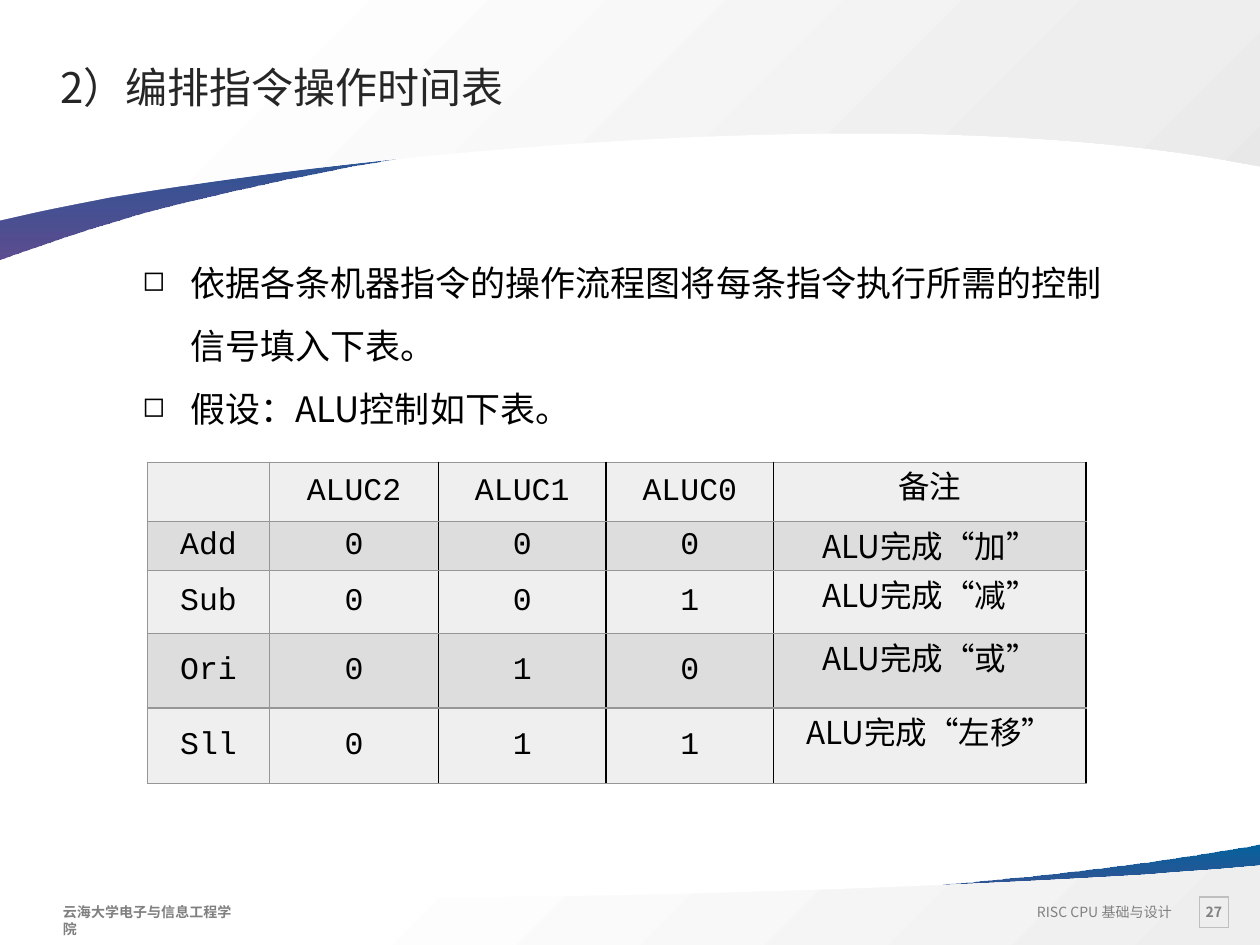
import pptx
import pptx.dml.color
import pptx.enum.shapes
import pptx.enum.text
import pptx.oxml
import pptx.oxml.ns
import pptx.util
from pptx.util import Inches

SANS, MONO = "Noto Sans CJK SC", "Courier New"
LEFT, CENTER, RIGHT = (getattr(pptx.enum.text.PP_ALIGN, n) for n in ("LEFT", "CENTER", "RIGHT"))
TOP, MIDDLE = pptx.enum.text.MSO_ANCHOR.TOP, pptx.enum.text.MSO_ANCHOR.MIDDLE
NS = pptx.oxml.ns.nsdecls("a")
BLUE = [(0, "04619D", 100), (100, "342275", 80)]
HEADER_GREY = [(17, "FFFFFF", 100), (81, "EEEEEE", 100), (100, "E8E8E8", 100)]
FOOTER_GREY = [(26, "FFFFFF", 100), (100, "EEEEEE", 100)]
SMALL = {"size": 8, "color": "808080"}


def rgb(value):
    """Turn a hex string into a colour."""
    return pptx.dml.color.RGBColor.from_string(value)


def set_attrs(obj, **values):
    """Set several attributes on one object."""
    for name, value in values.items():
        setattr(obj, name, value)


def write(p, text, size, color, font=SANS, align=LEFT, bold=False):
    """Fill a paragraph with one formatted run."""
    p.alignment = align
    r = p.add_run()
    r.text = text
    set_attrs(r.font, name=font, size=pptx.util.Pt(size), bold=bold)
    r.font.color.rgb = rgb(color)
    r._r.get_or_add_rPr().append(pptx.oxml.parse_xml(f'<a:ea {NS} typeface="{font}"/>'))


def set_frame(tf, insets, wrap=True, anchor=TOP):
    """Set insets, wrapping and anchor of a text frame."""
    sides = ("margin_left", "margin_top", "margin_right", "margin_bottom")
    set_attrs(tf, word_wrap=wrap, vertical_anchor=anchor,
              auto_size=pptx.enum.text.MSO_AUTO_SIZE.NONE,
              **{side: Inches(v) for side, v in zip(sides, insets)})


def add_text(s, box, text, insets=(0.1, 0.05, 0.1, 0.05), wrap=True, **fmt):
    """Add a one-paragraph text box."""
    sp = s.shapes.add_textbox(*map(Inches, box))
    set_frame(sp.text_frame, insets, wrap)
    write(sp.text_frame.paragraphs[0], text, **fmt)


def path_step(tag, numbers):
    """Return one outline step from its coordinates in inches."""
    pts = "".join(f'<a:pt x="{Inches(x)}" y="{Inches(y)}"/>'
                  for x, y in zip(numbers[::2], numbers[1::2]))
    return pptx.oxml.parse_xml(f"<a:{tag} {NS}>{pts}</a:{tag}>")


def add_swoosh(s, box, outline, stops, angle):
    """Draw a gradient outline of points and six-number curves within a box."""
    x, y, w, h = map(Inches, box)
    builder = s.shapes.build_freeform(x, y)
    builder.add_line_segments([(x + w, y), (x + w, y + h), (x, y + h)])
    sp = builder.convert_to_shape()
    sp.shadow.inherit = False
    sp.line.fill.background()
    geom = sp._element.spPr.find(pptx.oxml.ns.qn("a:custGeom"))
    outline_path = next(geom.iter(pptx.oxml.ns.qn("a:path")))
    for step in list(outline_path):
        outline_path.remove(step)
    outline_path.append(path_step("moveTo", outline[0]))
    for part in outline[1:]:
        outline_path.append(path_step("lnTo" if len(part) == 2 else "cubicBezTo", part))
    outline_path.append(path_step("close", ()))
    stop_xml = "".join(
        f'<a:gs pos="{pos * 1000}"><a:srgbClr val="{color}">'
        f'<a:alpha val="{alpha * 1000}"/></a:srgbClr></a:gs>' for pos, color, alpha in stops)
    geom.addnext(pptx.oxml.parse_xml(
        f'<a:gradFill {NS} rotWithShape="1"><a:gsLst>{stop_xml}</a:gsLst>'
        f'<a:lin ang="{angle * 60000}" scaled="0"/></a:gradFill>'))


def add_footer(s, box):
    """Draw the bottom band with school, course and page number."""
    x, y, w, h = box
    add_swoosh(s, (x, y, w, 0.65), [
        (10, 0), (10, 0.65), (0, 0.65), (0, 0.38), (0.01, 0.38),
        (2.26, 0.71, 6.15, 0.47, 8.39, 0.23),
        (8.84, 0.18, 9.35, 0.11, 9.89, 0.02), (10, 0)], BLUE, 90)
    add_swoosh(s, (x, y + 0.17, w, h - 0.17), [
        (10, 0), (10, 0.25), (10, 0.28), (10, 0.63), (0, 0.63), (0, 0.28), (0, 0.25),
        (0, 0.16), (0.33, 0.18), (2.94, 0.34, 6.83, 0.21, 9.14, 0.07),
        (9.34, 0.05, 9.56, 0.04, 9.78, 0.02)], FOOTER_GREY, 45)
    add_text(s, (x + 8.08, y + 0.42, 1.32, 0.23), "RISC CPU 基础与设计",
             wrap=False, align=RIGHT, **SMALL)
    sp = s.shapes.add_shape(pptx.enum.shapes.MSO_SHAPE.RECTANGLE,
                            *map(Inches, (x + 9.52, y + 0.42, 0.23, 0.24)))
    sp.shadow.inherit = False
    sp.fill.background()
    sp.line.color.rgb = rgb("BFBFBF")
    sp.line.width = pptx.util.Pt(0.75)
    set_frame(sp.text_frame, [0.08] * 4, False, MIDDLE)
    write(sp.text_frame.paragraphs[0], "27", align=CENTER, bold=True, **SMALL)
    add_text(s, (x + 0.5, y + 0.42, 1.54, 0.23), "云海大学电子与信息工程学院",
             insets=(0, 0.05, 0.1, 0.05), bold=True, **SMALL)


def add_header(s, box, title):
    """Draw the top band and place the title on it."""
    x, y, w, h = box
    add_swoosh(s, (x, y + 0.66, w, h - 0.66), [
        (0, 1.4), (0, 0), (10, 0), (10, 0.58), (9.99, 0.57),
        (7.74, -0.13, 3.85, 0.37, 1.61, 0.91),
        (1.16, 1.01, 0.65, 1.17, 0.11, 1.36), (0, 1.4)], BLUE, 90)
    add_swoosh(s, (x, y, w, 1.75), [
        (0, 1.75), (0, 1.05), (0, 0.99), (0, 0), (10, 0), (10, 0.99), (10, 1.05),
        (10, 1.32), (9.67, 1.26), (7.06, 0.82, 3.17, 1.18, 0.86, 1.57),
        (0.66, 1.61, 0.44, 1.65, 0.22, 1.7)], HEADER_GREY, 45)
    sp = s.shapes.title
    s.shapes._spTree.append(sp._element)
    set_attrs(sp, left=Inches(x + 0.4), top=Inches(y + 0.41),
              width=Inches(9), height=Inches(0.58))
    set_frame(sp.text_frame, (0.08, 0.08, 0, 0.08), False)
    write(sp.text_frame.paragraphs[0], title, 24, "262626")


def add_bullets(s, box, items):
    """Add a list with square bullets."""
    tf = s.shapes.add_textbox(*map(Inches, box)).text_frame
    set_frame(tf, (0.08, 0.05, 0.08, 0.05))
    for i, text in enumerate(items):
        p = tf.add_paragraph() if i else tf.paragraphs[0]
        p.line_spacing = 1.5
        write(p, text, 20, "000000")
        pPr = p._p.get_or_add_pPr()
        for name, value in {"marL": 0.38, "indent": -0.38}.items():
            pPr.set(name, str(Inches(value)))
        for tag in ('buSzPct {} val="80000"', 'buChar {} char="◻"'):
            pPr.append(pptx.oxml.parse_xml(f"<a:{tag.format(NS)}/>"))


def set_borders(cell, col):
    """Draw grey rules, with black ones between the signal columns."""
    grey, black = ("969696", 1), ("000000", 0.75)
    edges = {"L": grey if col < 2 else black, "R": grey if col == 0 else black,
             "T": grey, "B": grey}
    tcPr = cell._tc.get_or_add_tcPr()
    for i, (side, (color, width)) in enumerate(edges.items()):
        tcPr.insert(i, pptx.oxml.parse_xml(
            f'<a:ln{side} {NS} w="{pptx.util.Pt(width)}"><a:solidFill>'
            f'<a:srgbClr val="{color}"/></a:solidFill></a:ln{side}>'))


def add_control_table(s, box, rows, widths, heights):
    """Add the table of ALU control signals."""
    table = s.shapes.add_table(len(rows), len(widths), *map(Inches, box)).table
    for col, width in zip(table.columns, widths):
        col.width = Inches(width)
    for row, height in zip(table.rows, heights):
        row.height = Inches(height)
    for i, values in enumerate(rows):
        for j, text in enumerate(values):
            cell = table.cell(i, j)
            note = j == len(widths) - 1
            set_attrs(cell, margin_left=0, margin_top=0, margin_right=0, margin_bottom=0,
                      vertical_anchor=TOP if note else MIDDLE)
            cell.fill.solid()
            cell.fill.fore_color.rgb = rgb("DDDDDD" if i % 2 else "EFEFEF")
            set_borders(cell, j)
            if text:
                write(cell.text_frame.paragraphs[0], text, 18, "000000",
                      SANS if note else MONO, CENTER)


def main():
    """Build the slide and save it."""
    prs = pptx.Presentation()
    set_attrs(prs, slide_width=Inches(10), slide_height=Inches(7.5))
    s = prs.slides.add_slide(prs.slide_layouts[5])
    add_footer(s, (0, 6.7, 10, 0.8))
    add_header(s, (0, 0, 10, 2.06), "2）编排指令操作时间表")
    add_bullets(s, (1.05, 1.86, 7.93, 1.61), [
        "依据各条机器指令的操作流程图将每条指令执行所需的控制信号填入下表。",
        "假设：ALU控制如下表。"])
    codes = [("Add", "000", "加"), ("Sub", "001", "减"), ("Ori", "010", "或"), ("Sll", "011", "左移")]
    rows = [("", "ALUC2", "ALUC1", "ALUC0", "备注")]
    rows += [(name, *bits, f"ALU完成“{action}”") for name, bits, action in codes]
    add_control_table(s, (1.17, 3.67, 7.45, 2.55), rows,
                      [0.97, 1.34, 1.33, 1.33, 2.48], [0.47, 0.39, 0.5, 0.59, 0.6])
    prs.save("out.pptx")


if __name__ == "__main__":
    main()
